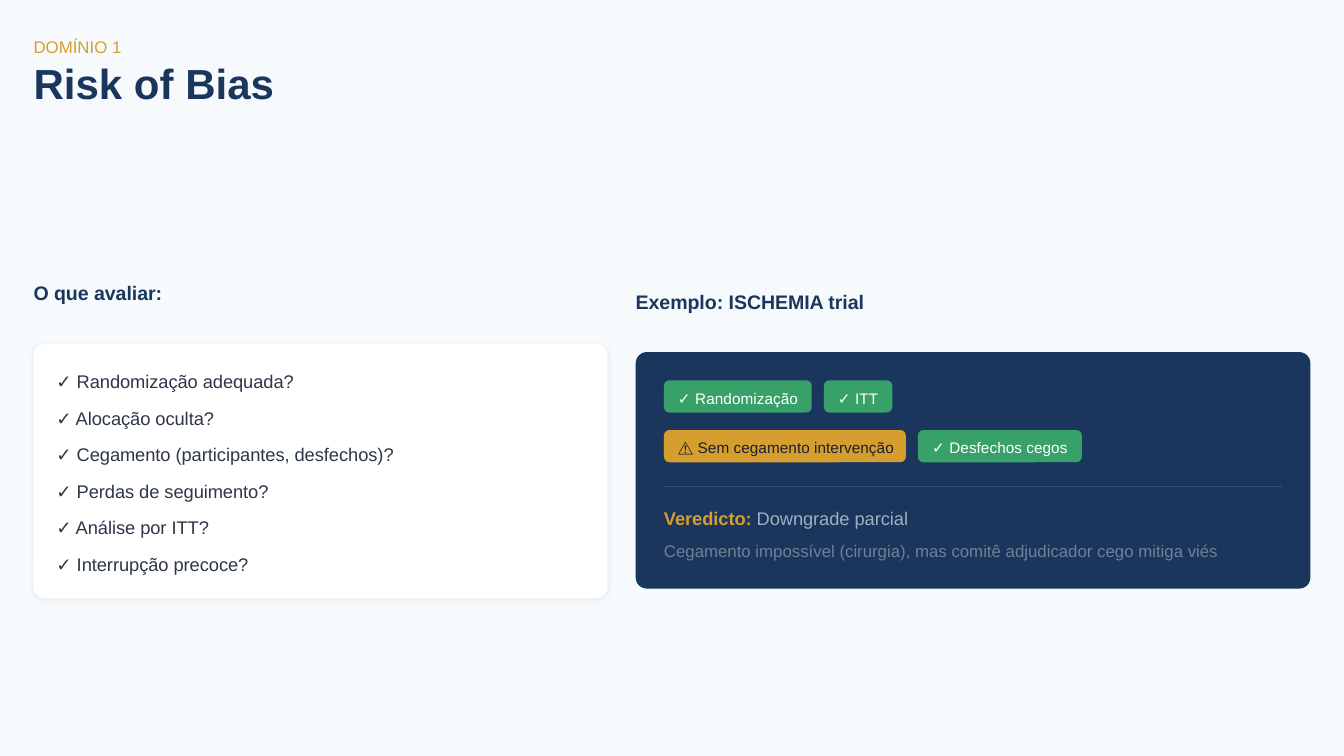
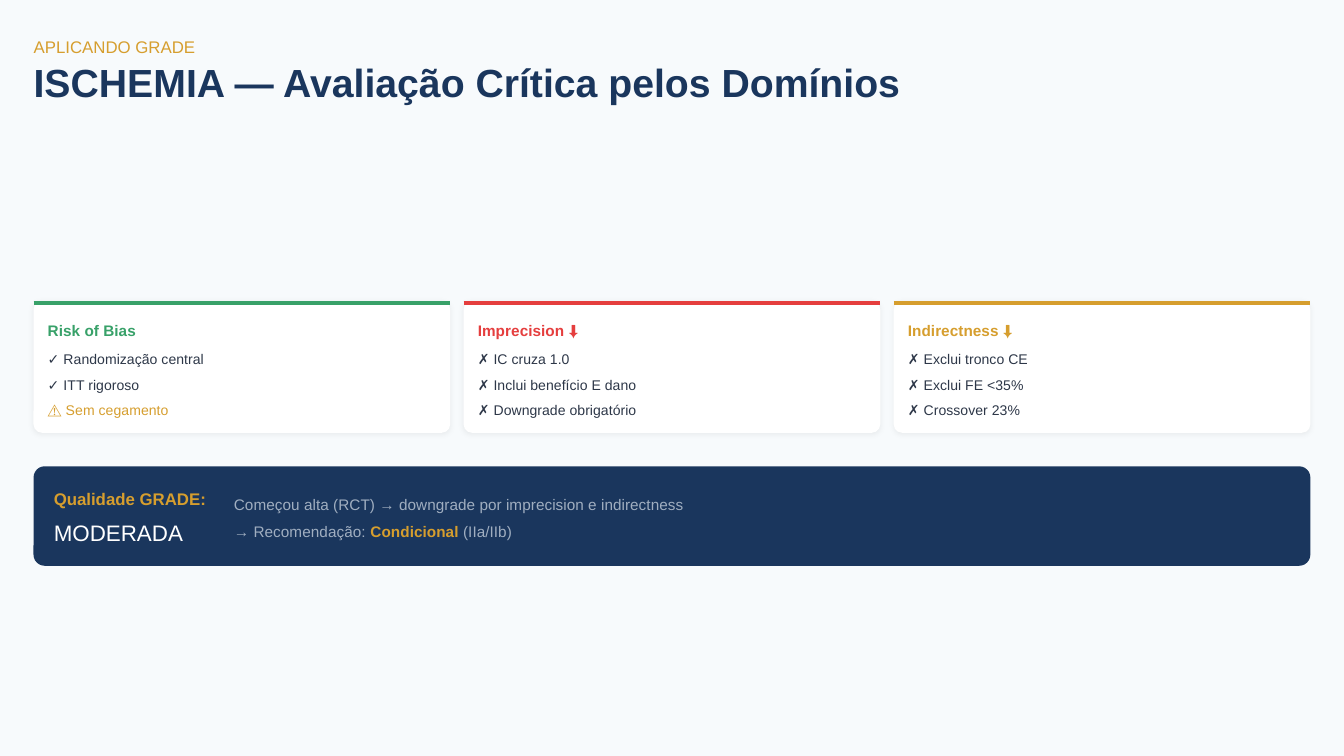
import pptx
import pptx.dml.color
import pptx.enum.shapes
import pptx.oxml.ns
import pptx.util
from lxml import etree

Inches = pptx.util.Inches
Pt = pptx.util.Pt
qn = pptx.oxml.ns.qn

COLORS = {
    "bg": "F7FAFC", "navy": "1A365D", "gold": "D69E2E", "green": "38A169",
    "red": "E53E3E", "white": "FFFFFF", "text": "2D3748", "dark": "1A202C",
    "rule": "2C5282", "light": "A0AEC0", "muted": "718096",
}
FONT = "Arial"
MARGIN = 0.25


def rgb(name):
    return pptx.dml.color.RGBColor.from_string(COLORS[name])


class Deck:
    """Holds the style and the slide being built."""

    def __init__(self):
        self.prs = pptx.Presentation()
        self.prs.slide_width = Inches(10)
        self.prs.slide_height = Inches(5.625)

    def new_slide(self, label, title, title_size, title_width):
        self.s = self.prs.slides.add_slide(self.prs.slide_layouts[6])
        fill = self.s.background.fill
        fill.solid()
        fill.fore_color.rgb = rgb("bg")
        self.text(MARGIN, 0.25, 9.69, [(label, "gold", False)], 9)
        self.text(MARGIN, 0.49, title_width, [(title, "navy", True)],
                  title_size, leading=1)

    def text(self, x, y, w, runs, size, leading=1.4):
        """Add one line of text; runs are (text, colour, bold)."""
        height = size * leading / 72
        sp = self.s.shapes.add_textbox(Inches(x), Inches(y), Inches(w), Inches(height))
        tf = sp.text_frame
        tf.word_wrap = True
        tf.margin_left = tf.margin_top = tf.margin_right = tf.margin_bottom = 0
        p = tf.paragraphs[0]
        p.line_spacing = Pt(size * leading)
        for content, color, bold in runs:
            r = p.add_run()
            r.text = content
            r.font.name = FONT
            r.font.size = Pt(size)
            r.font.bold = bold
            r.font.color.rgb = rgb(color)

    def text_list(self, x, y, w, items, size, step):
        for i, (content, color) in enumerate(items):
            self.text(x, y + i * step, w, [(content, color, False)], size)

    def card(self, x, y, w, h, color, radius=0.083, shadow=False):
        sp = self.s.shapes.add_shape(
            pptx.enum.shapes.MSO_SHAPE.ROUNDED_RECTANGLE,
            Inches(x), Inches(y), Inches(w), Inches(h))
        sp.adjustments[0] = radius / min(w, h)
        sp.fill.solid()
        sp.fill.fore_color.rgb = rgb(color)
        sp.line.fill.background()
        sp.shadow.inherit = False
        if shadow:
            self.soften(sp)

    def soften(self, sp):
        """Give a shape a faint shadow below it."""
        effects = sp._element.spPr.find(qn("a:effectLst"))
        outer = etree.SubElement(
            effects, qn("a:outerShdw"), blurRad=str(Pt(3)), dist=str(Pt(0.75)),
            dir="5400000", algn="bl", rotWithShape="0")
        black = etree.SubElement(outer, qn("a:srgbClr"), val="000000")
        etree.SubElement(black, qn("a:alpha"), val="6000")

    def rule(self, x, y, w, color, weight):
        line = self.s.shapes.add_connector(
            pptx.enum.shapes.MSO_CONNECTOR.STRAIGHT,
            Inches(x), Inches(y), Inches(x + w), Inches(y))
        line.line.color.rgb = rgb(color)
        line.line.width = Pt(weight)
        etree.SubElement(line._element.spPr, qn("a:effectLst"))

    def badges(self, x, y, items, gap=0.09):
        """Lay badges in a row; items are (text, width, fill, text colour)."""
        for content, w, fill, color in items:
            self.card(x, y, w, 0.24, fill, radius=0.041)
            self.text(x + 0.105, y + 0.04, w - 0.17, [(content, color, False)], 8.25)
            x += w + gap

    def domain(self, x, y, w, heading, color, items):
        self.card(x, y, w, 0.98, "white", radius=0.0625, shadow=True)
        self.rule(x, y + 0.015, w, color, 2.25)
        self.text(x + 0.105, y + 0.13, w - 0.15, [(heading, color, True)], 8.25)
        self.text_list(x + 0.105, y + 0.35, w - 0.15, items, 7.5, 0.19)


def risk_of_bias(deck):
    deck.new_slide("DOMÍNIO 1", "Risk of Bias", 22.5, 4.86)

    deck.text(MARGIN, 2.06, 4.36, [("O que avaliar:", "navy", True)], 10.5)
    deck.card(MARGIN, 2.56, 4.27, 1.89, "white", shadow=True)
    checks = ["Randomização adequada?", "Alocação oculta?",
              "Cegamento (participantes, desfechos)?", "Perdas de seguimento?",
              "Análise por ITT?", "Interrupção precoce?"]
    deck.text_list(0.42, 2.73, 4.02, [(f"✓ {c}", "text") for c in checks], 9.75, 0.272)

    deck.text(4.73, 2.13, 5.12, [("Exemplo: ISCHEMIA trial", "navy", True)], 10.5)
    deck.card(4.73, 2.62, 5.02, 1.76, "navy")
    inner = 4.94
    deck.badges(inner, 2.83, [("✓ Randomização", 1.1, "green", "white"),
                              ("✓ ITT", 0.51, "green", "white")])
    deck.badges(inner, 3.2, [("⚠ Sem cegamento intervenção", 1.8, "gold", "dark"),
                             ("✓ Desfechos cegos", 1.22, "green", "white")])
    deck.rule(inner, 3.62, 4.6, "rule", 0.75)
    deck.text(inner, 3.75, 4.69, [("Veredicto:", "gold", True),
                                  (" Downgrade parcial", "light", False)], 9.75)
    deck.text(inner, 4, 4.69, [
        ("Cegamento impossível (cirurgia), mas comitê adjudicador cego mitiga viés",
         "muted", False)], 9)


def critical_appraisal(deck):
    deck.new_slide("APLICANDO GRADE", "ISCHEMIA — Avaliação Crítica pelos Domínios",
                   21, 6.59)

    domains = [
        ("Risk of Bias", "green", [("✓ Randomização central", "text"),
                                   ("✓ ITT rigoroso", "text"),
                                   ("⚠ Sem cegamento", "gold")]),
        ("Imprecision ⬇", "red", [("✗ IC cruza 1.0", "text"),
                                  ("✗ Inclui benefício E dano", "text"),
                                  ("✗ Downgrade obrigatório", "text")]),
        ("Indirectness ⬇", "gold", [("✗ Exclui tronco CE", "text"),
                                    ("✗ Exclui FE <35%", "text"),
                                    ("✗ Crossover 23%", "text")]),
    ]
    width, gap = 3.1, 0.1
    for i, (heading, color, items) in enumerate(domains):
        deck.domain(MARGIN + i * (width + gap), 2.24, width, heading, color, items)

    deck.card(MARGIN, 3.47, 9.5, 0.74, "navy")
    deck.text(0.4, 3.61, 1.15, [("Qualidade GRADE:", "gold", True)], 9)
    deck.text(0.4, 3.83, 1.15, [("MODERADA", "white", False)], 12)
    deck.text(1.74, 3.66, 8.03, [
        ("Começou alta (RCT) → downgrade por imprecision e indirectness",
         "light", False)], 8.25)
    deck.text(1.74, 3.86, 8.03, [("→ Recomendação: ", "light", False),
                                 ("Condicional", "gold", True),
                                 (" (IIa/IIb)", "light", False)], 8.25)


def main():
    deck = Deck()
    risk_of_bias(deck)
    critical_appraisal(deck)
    deck.prs.save("out.pptx")


if __name__ == "__main__":
    main()
